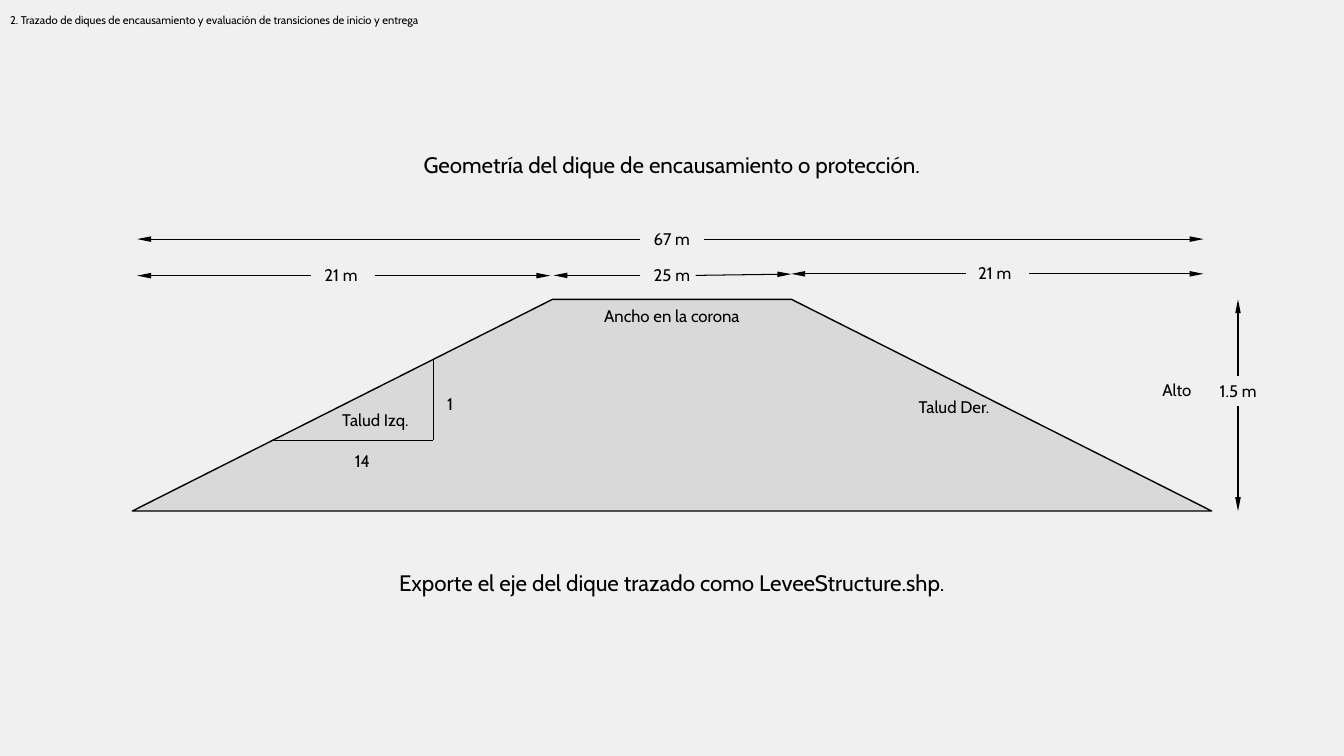
from pptx import Presentation
from pptx.dml.color import RGBColor
from pptx.enum import shapes, text
from pptx.oxml.ns import qn
from pptx.util import Pt
from lxml import etree

BLACK = RGBColor(0x00, 0x00, 0x00)
DIKE_GREY = RGBColor(0xD9, 0xD9, 0xD9)
BACKGROUND = RGBColor(0xF0, 0xF0, 0xF0)
FONT = "Cabin"
LABEL_W = 45.4
LABEL_H = 21.8
CROWN_Y = 213.84
BASE_Y = 365.04


def add_run(p, words, size):
    r = p.add_run()
    r.text = words
    r.font.name = FONT
    r.font.size = Pt(size)
    r.font.color.rgb = BLACK


def add_title(s, words):
    sp = s.shapes.title
    sp.left, sp.top, sp.width, sp.height = Pt(0), Pt(0), Pt(960), Pt(28.1)
    tf = sp.text_frame
    tf.word_wrap = True
    tf.auto_size = text.MSO_AUTO_SIZE.NONE
    tf.vertical_anchor = text.MSO_ANCHOR.MIDDLE
    p = tf.paragraphs[0]
    p.alignment = text.PP_ALIGN.LEFT
    add_run(p, words, 8)


def add_label(s, words, left, top, width=LABEL_W, height=LABEL_H, size=12):
    sp = s.shapes.add_textbox(Pt(left), Pt(top), Pt(width), Pt(height))
    tf = sp.text_frame
    tf.word_wrap = True
    tf.auto_size = text.MSO_AUTO_SIZE.SHAPE_TO_FIT_TEXT
    p = tf.paragraphs[0]
    p.alignment = text.PP_ALIGN.CENTER
    add_run(p, words, size)


def add_line(s, x1, y1, x2, y2, arrow=False):
    sp = s.shapes.add_connector(
        shapes.MSO_CONNECTOR.STRAIGHT, Pt(x1), Pt(y1), Pt(x2), Pt(y2))
    sp.line.color.rgb = BLACK
    sp.line.width = Pt(0.75)
    if arrow:
        ln = sp.line._get_or_add_ln()
        etree.SubElement(ln, qn("a:tailEnd"), type="triangle", w="sm", len="lg")
    etree.SubElement(sp._element.spPr, qn("a:effectLst"))


def add_dike(s):
    left, width, height = 94.5, 771, BASE_Y - CROWN_Y
    sp = s.shapes.add_shape(
        shapes.MSO_SHAPE.TRAPEZOID, Pt(left), Pt(CROWN_Y), Pt(width), Pt(height))
    sp.adjustments[0] = 1.985
    sp.shadow.inherit = False
    sp.fill.solid()
    sp.fill.fore_color.rgb = DIKE_GREY
    sp.line.color.rgb = BLACK
    sp.line.width = Pt(1)


def add_width(s, words, label_left, label_top, start, gap_start, gap_end, end, y, end_y):
    add_line(s, gap_start, y, start, y, arrow=True)
    add_line(s, gap_end, y, end, end_y, arrow=True)
    add_label(s, words, label_left, label_top)


def add_height(s, words):
    x = 884.3
    add_line(s, x, 268.6, x, CROWN_Y, arrow=True)
    add_line(s, x, 290.2, x, BASE_Y, arrow=True)
    add_label(s, words, 861.8, 268.6)


def add_slope_triangle(s):
    x, y = 309.6, 314.4
    add_line(s, 195.8, y, x, y)
    add_line(s, x, y, x, 257)
    add_label(s, "14", 236.2, 318.2)
    add_label(s, "1", 298.8, 278)


def main():
    prs = Presentation()
    prs.slide_width, prs.slide_height = Pt(960), Pt(540)
    s = prs.slides.add_slide(prs.slide_layouts[5])
    s.background.fill.solid()
    s.background.fill.fore_color.rgb = BACKGROUND

    add_title(s, "2. Trazado de diques de encausamiento y evaluación de "
                 "transiciones de inicio y entrega")
    for words, top in (
        ("Geometría del dique de encausamiento o protección.", 104.4),
        ("Exporte el eje del dique trazado como LeveeStructure.shp.", 403),
    ):
        add_label(s, words, 75.6, top, 808.8, 26.7, 16)

    add_dike(s)
    for width in (
        ("67 m", 457.2, 159.8, 98, 457.2, 502.6, 859.7, 170.8, 170.8),
        ("21 m", 220.9, 185.6, 98, 222.5, 267.8, 393.1, 196.9, 196.9),
        ("25 m", 457.2, 185.2, 395.3, 457.2, 496.8, 565.2, 196.7, 195.8),
        ("21 m", 687.8, 184.4, 565.2, 689.8, 735.1, 859.7, 195.6, 195.6),
    ):
        add_width(s, *width)
    add_height(s, "1.5 m")
    add_slope_triangle(s)

    for words, left, top, width in (
        ("Ancho en la corona", 414.8, 214.6, 130.3),
        ("Talud Izq.", 203, 288.8, 130.3),
        ("Talud Der.", 616.3, 280.1, 130.3),
        ("Alto", 815.8, 267.8, 49.7),
    ):
        add_label(s, words, left, top, width)

    prs.save("out.pptx")


if __name__ == "__main__":
    main()
